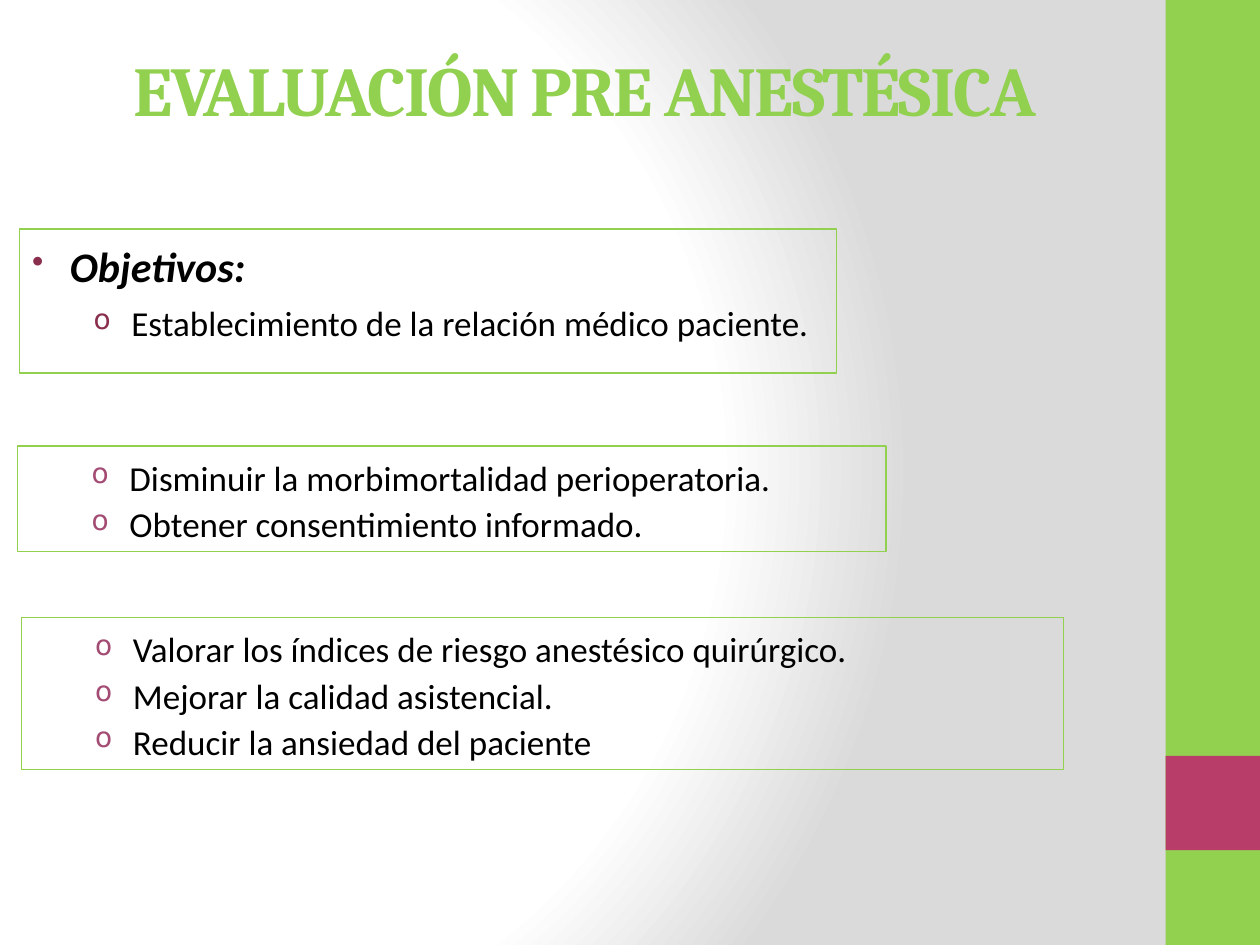
from lxml.etree import SubElement
from pptx import Presentation
from pptx.dml.color import RGBColor
from pptx.enum.shapes import MSO_SHAPE
from pptx.enum.text import MSO_ANCHOR, MSO_AUTO_SIZE, PP_ALIGN
from pptx.oxml import parse_xml
from pptx.oxml.ns import nsdecls, qn
from pptx.util import Cm, Pt

GREEN = RGBColor(0x92, 0xD0, 0x50)
MAGENTA = RGBColor(0xB8, 0x3D, 0x68)
DARK_BULLET = RGBColor(0x8A, 0x2E, 0x4E)
LIGHT_BULLET = RGBColor(0xA3, 0x4B, 0x73)
BLACK = RGBColor(0, 0, 0)
WHITE = RGBColor(0xFF, 0xFF, 0xFF)
GREY = RGBColor(0xDA, 0xDA, 0xDA)


def add_rectangle(slide, left, top, width, height):
    shape = slide.shapes.add_shape(
        MSO_SHAPE.RECTANGLE, Cm(left), Cm(top), Cm(width), Cm(height))
    shape.shadow.inherit = False
    return shape


def add_bullet(paragraph, character, color, margin):
    properties = paragraph._p.get_or_add_pPr()
    properties.set("marL", str(Cm(margin)))
    properties.set("indent", str(-Cm(0.76)))
    bullet_color = SubElement(properties, qn("a:buClr"))
    SubElement(bullet_color, qn("a:srgbClr"), val=str(color))
    SubElement(properties, qn("a:buSzPct"), val="80000")
    SubElement(properties, qn("a:buChar"), char=character)


presentation = Presentation()
presentation.slide_width = Cm(25.4)
presentation.slide_height = Cm(19.05)
slide = presentation.slides.add_slide(presentation.slide_layouts[5])

background = parse_xml(
    f'<p:bg {nsdecls("p", "a")}><p:bgPr><a:gradFill rotWithShape="1"><a:gsLst>'
    f'<a:gs pos="0"><a:srgbClr val="{WHITE}"/></a:gs>'
    f'<a:gs pos="75000"><a:srgbClr val="{WHITE}"/></a:gs>'
    f'<a:gs pos="100000"><a:srgbClr val="{GREY}"/></a:gs></a:gsLst>'
    '<a:path path="circle"><a:fillToRect l="20000" t="50000" r="100000" b="50000"/>'
    '</a:path></a:gradFill><a:effectLst/></p:bgPr></p:bg>')
slide._element.cSld.insert(0, background)

for top, height, color in [(0, 19.05, GREEN), (15.24, 1.9, MAGENTA)]:
    band = add_rectangle(slide, 23.5, top, 1.9, height)
    band.fill.solid()
    band.fill.fore_color.rgb = color
    band.line.fill.background()

title = slide.shapes.title
title.left, title.top, title.width, title.height = Cm(2.44), Cm(0.2), Cm(21.16), Cm(3.18)
title.text_frame.text = "EVALUACIÓN PRE ANESTÉSICA"
title.text_frame.vertical_anchor = MSO_ANCHOR.MIDDLE
title_paragraph = title.text_frame.paragraphs[0]
title_paragraph.alignment = PP_ALIGN.LEFT
title_run = title_paragraph.runs[0]
title_run.font.name = "Cambria"
title_run.font.size = Pt(40)
title_run.font.bold = True
title_run.font.color.rgb = GREEN
title_run._r.get_or_add_rPr().set("spc", "-100")

HEADING = "Objetivos:"
boxes = [
    (0.4, 4.62, 16.46, 2.9, DARK_BULLET,
     [HEADING, "Establecimiento de la relación médico paciente."]),
    (0.43, 12.45, 21.01, 3.07, LIGHT_BULLET,
     ["Valorar los índices de riesgo anestésico quirúrgico.",
      "Mejorar la calidad asistencial.",
      "Reducir la ansiedad del paciente"]),
    (0.36, 8.99, 17.5, 2.13, LIGHT_BULLET,
     ["Disminuir la morbimortalidad perioperatoria.",
      "Obtener consentimiento informado."]),
]
for left, top, width, height, bullet_color, lines in boxes:
    box = add_rectangle(slide, left, top, width, height)
    box.fill.background()
    box.line.color.rgb = GREEN
    box.line.width = Pt(0.75)
    text_frame = box.text_frame
    text_frame.word_wrap = True
    text_frame.vertical_anchor = MSO_ANCHOR.TOP
    has_heading = lines[0] == HEADING
    if not has_heading:
        text_frame.auto_size = MSO_AUTO_SIZE.SHAPE_TO_FIT_TEXT
    text_frame.text = "\n".join(lines)
    for number, paragraph in enumerate(text_frame.paragraphs):
        is_heading = has_heading and number == 0
        if is_heading:
            add_bullet(paragraph, "•", bullet_color, 0.76)
        else:
            add_bullet(paragraph, "o", bullet_color, 2)
            paragraph.level = 1
        paragraph.alignment = PP_ALIGN.LEFT
        paragraph.line_spacing = 1.1
        if has_heading and number > 0:
            paragraph.space_before = Pt(4)
        font = paragraph.runs[0].font
        font.name = "Calibri"
        font.size = Pt(24 if is_heading else 20)
        font.bold = is_heading
        font.italic = is_heading
        font.color.rgb = BLACK

presentation.save("out.pptx")
